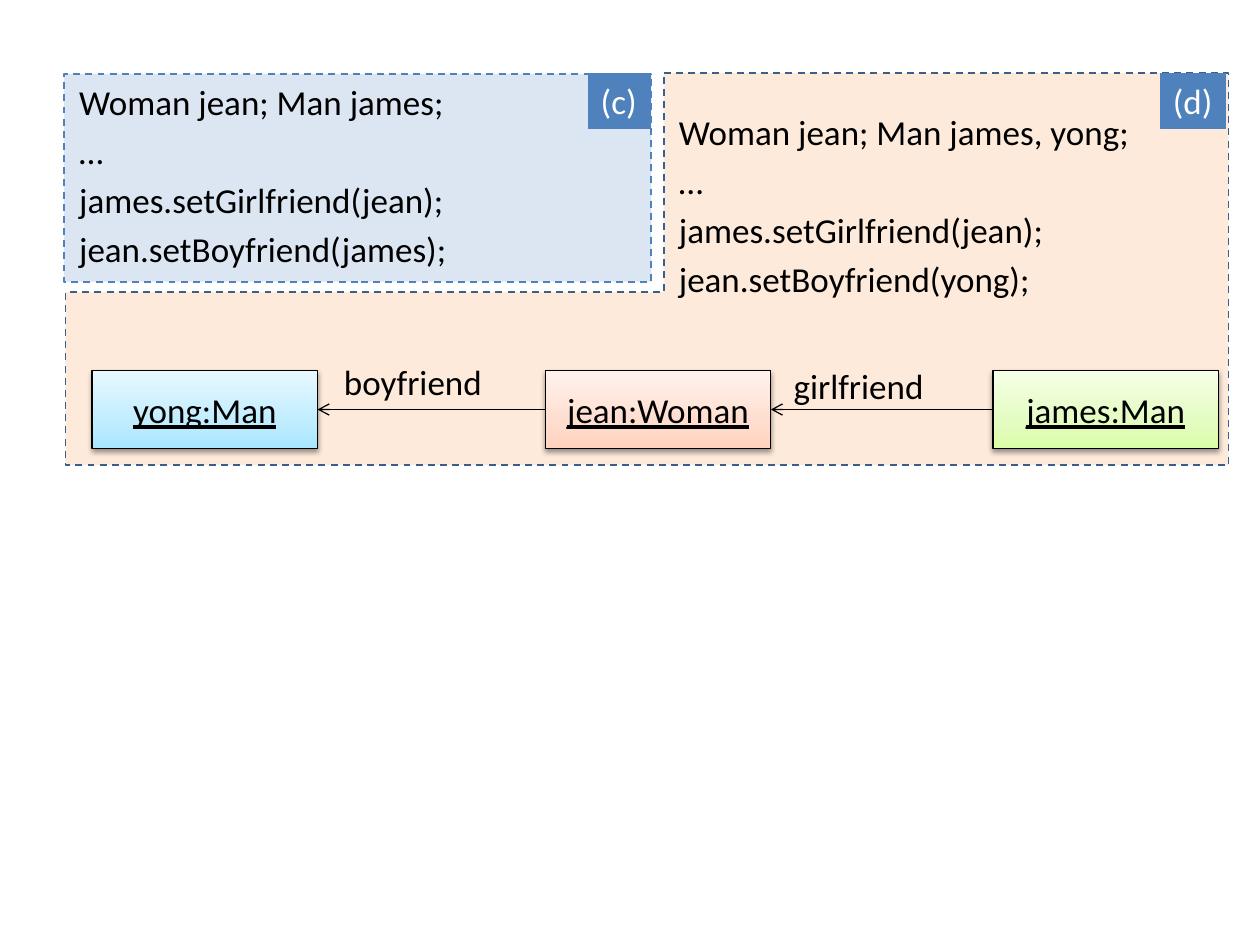
from lxml import etree
from pptx import Presentation
from pptx import util as u
from pptx.dml import color
from pptx.enum import dml, shapes, text
from pptx.oxml import ns

Pt = u.Pt
FONT = "Calibri"
OBJECT_TOP, OBJECT_WIDTH, OBJECT_HEIGHT = 211.7, 128.9, 44.6


def rgb(value):
    return color.RGBColor.from_string(value)


def add_child(parent, tag, **attributes):
    child = etree.SubElement(parent, ns.qn(tag))
    for name, value in attributes.items():
        child.set(name, str(value))
    return child


def style(shape, fill, line, weight, dashed=False):
    shape.shadow.inherit = False
    shape.fill.solid()
    shape.fill.fore_color.rgb = rgb(fill)
    shape.line.color.rgb = rgb(line)
    shape.line.width = Pt(weight)
    if dashed:
        shape.line.dash_style = dml.MSO_LINE.DASH


def add_rectangle(page, left, top, width, height):
    return page.shapes.add_shape(
        shapes.MSO_SHAPE.RECTANGLE, Pt(left), Pt(top), Pt(width), Pt(height))


def add_text_box(page, left, top, width, height):
    return page.shapes.add_textbox(Pt(left), Pt(top), Pt(width), Pt(height))


def write(box, lines, ink="000000", align=text.PP_ALIGN.LEFT,
          anchor=text.MSO_ANCHOR.TOP, wrap=True, underline=None, hanging=False):
    frame = box.text_frame
    frame.word_wrap = wrap
    frame.vertical_anchor = anchor
    for index, line in enumerate(lines):
        para = frame.paragraphs[0] if index == 0 else frame.add_paragraph()
        para.alignment = align
        if index:
            para.space_before = Pt(4)
        if hanging:
            properties = para._p.get_or_add_pPr()
            properties.set("marL", str(Pt(28.5)))
            properties.set("indent", str(Pt(-27)))
        span = para.add_run()
        span.text = line
        span.font.name = FONT
        span.font.size = Pt(20)
        span.font.underline = underline
        span.font.color.rgb = rgb(ink)


def add_region(page, points):
    corners = [(Pt(x), Pt(y)) for x, y in points]
    builder = page.shapes.build_freeform(*corners[0], scale=1.0)
    builder.add_line_segments(corners[1:], close=True)
    region = builder.convert_to_shape()
    style(region, "FDEADA", "3A5F8C", 1, dashed=True)


def add_object(page, left, name, colours):
    box = add_rectangle(page, left, OBJECT_TOP, OBJECT_WIDTH, OBJECT_HEIGHT)
    style(box, colours[0], "000000", 0.75)
    box.fill.gradient()
    box.fill.gradient_angle = 90
    properties = box._element.spPr
    stops = properties.find(".//" + ns.qn("a:gsLst"))
    for stop in list(stops):
        stops.remove(stop)
    for position, colour in zip((0, 35, 100), colours):
        stop = add_child(stops, "a:gs", pos=position * 1000)
        add_child(stop, "a:srgbClr", val=colour)
    shadow = add_child(properties.find(ns.qn("a:effectLst")), "a:outerShdw",
                       blurRad=Pt(3.1), dist=Pt(1.6), dir=5400000, rotWithShape=0)
    shade = add_child(shadow, "a:srgbClr", val="000000")
    add_child(shade, "a:alpha", val=38000)
    write(box, [name], align=text.PP_ALIGN.CENTER,
          anchor=text.MSO_ANCHOR.MIDDLE, underline=True)
    return box


def add_reference(page, target, source):
    arrow = page.shapes.add_connector(shapes.MSO_CONNECTOR.ELBOW, 0, 0, 0, 0)
    arrow.begin_connect(target, 3)
    arrow.end_connect(source, 1)
    arrow.line.color.rgb = rgb("000000")
    arrow.line.width = Pt(0.75)
    add_child(arrow.line._get_or_add_ln(), "a:headEnd", type="arrow")
    add_child(arrow._element.spPr, "a:effectLst")


def add_label(page, left, top, width, caption):
    write(add_text_box(page, left, top, width, 31.5), [caption])


def add_tag(page, left, width, caption):
    tag = add_rectangle(page, left, 41.8, width, 31.5)
    style(tag, "4F81BD", "4F81BD", 0.75)
    write(tag, [caption], ink="FFFFFF", wrap=False)


def main():
    deck = Presentation()
    deck.slide_width, deck.slide_height = Pt(720), Pt(540)
    page = deck.slides.add_slide(deck.slide_layouts[6])

    add_region(page, [(379.4, 41.8), (702, 41.8), (702, 265.7),
                      (37.4, 265.7), (37.4, 167), (379.4, 167)])

    yong = add_object(page, 52.6, "yong:Man", ("A7E6FF", "C1EDFF", "E7F8FF"))
    jean = add_object(page, 311.6, "jean:Woman", ("FFD2BD", "FFDED0", "FFF2ED"))
    james = add_object(page, 567.4, "james:Man", ("DAFDA7", "E4FCC2", "F5FFE7"))
    add_reference(page, jean, james)
    add_reference(page, yong, jean)
    add_label(page, 446.4, 204.5, 93.6, "girlfriend")
    add_label(page, 189.4, 202.3, 102.2, "boyfriend")

    mismatched = add_text_box(page, 379.4, 59.8, 322.6, 118.8)
    write(mismatched, ["Woman jean; Man james, yong;", "…",
                       "james.setGirlfriend(jean);",
                       "jean.setBoyfriend(yong);"], hanging=True)
    matched = add_rectangle(page, 36.7, 42.2, 335.5, 118.8)
    style(matched, "DCE6F2", "4F81BD", 1, dashed=True)
    write(matched, ["Woman jean; Man james;", "…",
                    "james.setGirlfriend(jean);",
                    "jean.setBoyfriend(james);"], hanging=True)

    add_tag(page, 336.2, 35.3, "(c)")
    add_tag(page, 663.1, 37.4, "(d)")
    deck.save("out.pptx")


if __name__ == "__main__":
    main()
